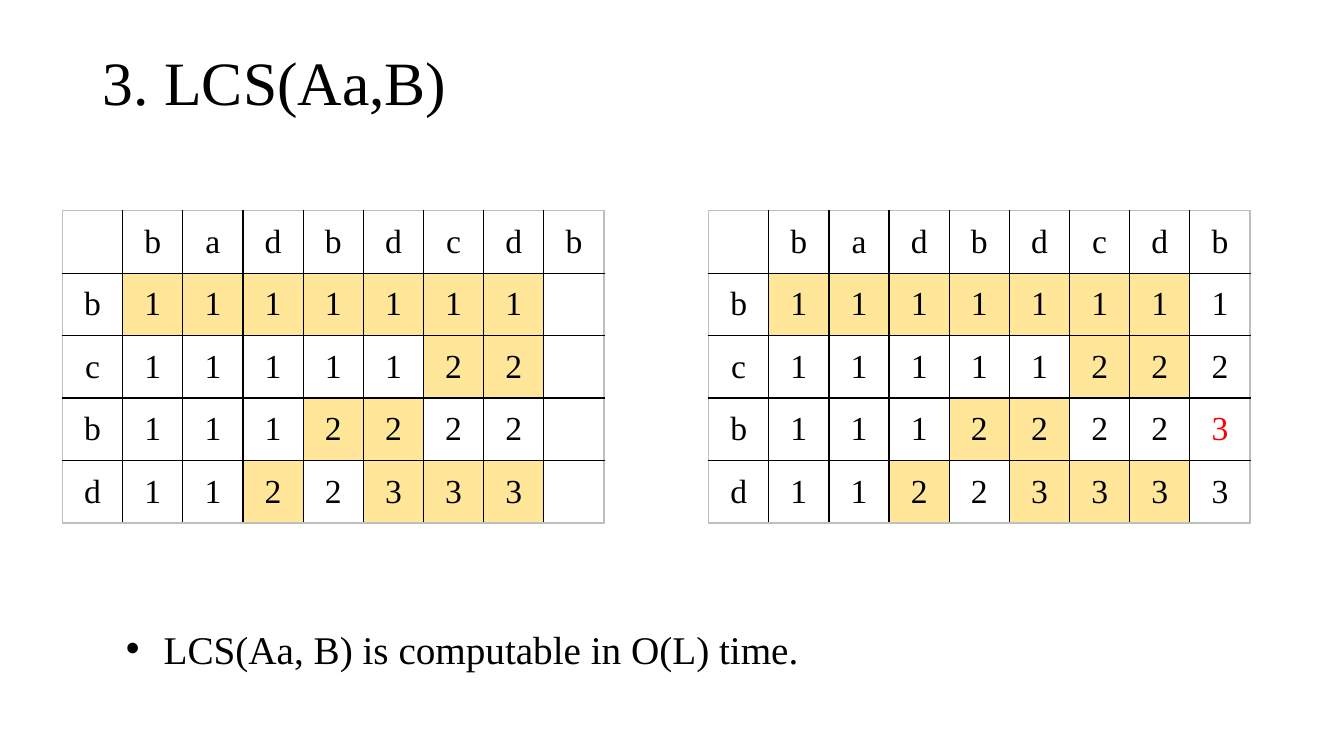
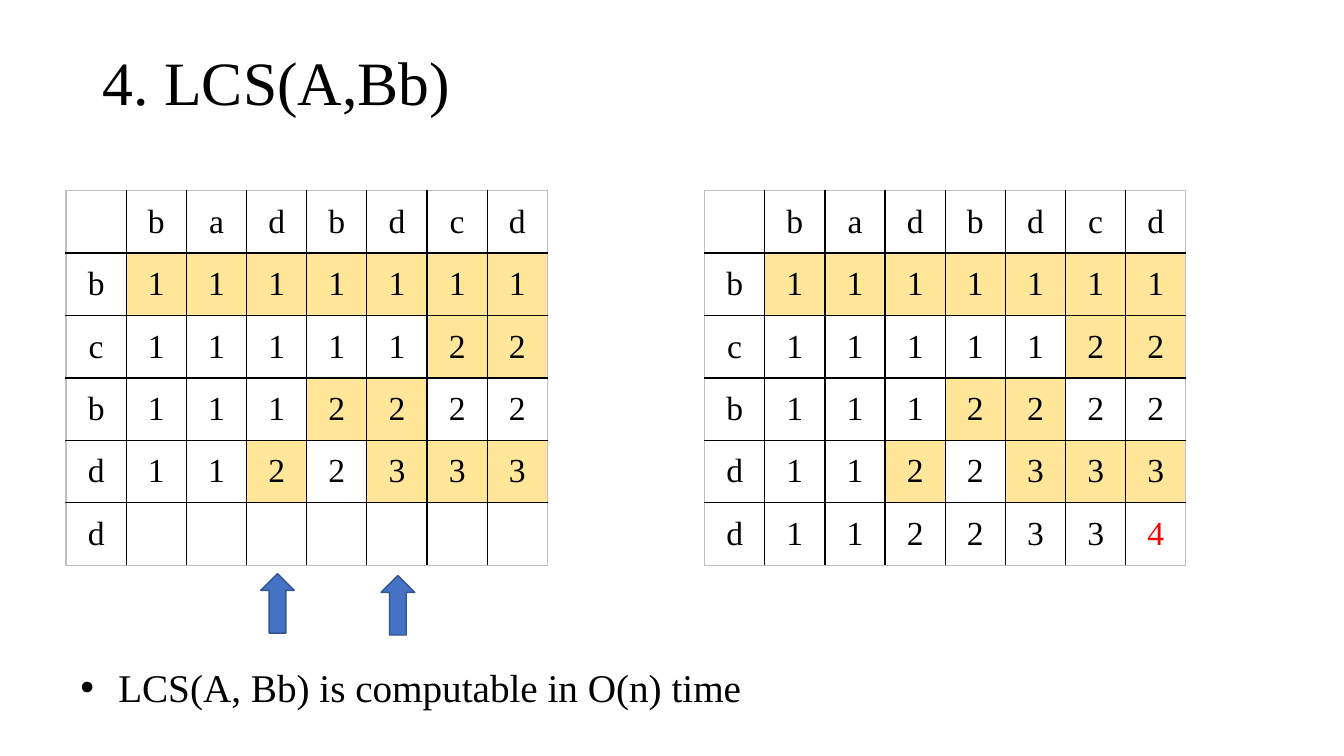
from dataclasses import dataclass

from lxml import etree
from pptx import Presentation
from pptx.dml.color import RGBColor
from pptx.enum import shapes, text
from pptx.oxml import ns
from pptx.util import Pt


@dataclass(frozen=True)
class Theme:
    font: str = "Times New Roman"
    ink: str = "000000"
    accent: str = "FF0000"
    step: str = "FFE699"
    outer: str = "BFBFBF"
    arrow: str = "4472C4"
    arrow_line: str = "325491"
    title: int = 44
    body: int = 28
    cell: int = 24
    col: float = 43
    row: float = 44.64


BASE = [" badbdcd", "b1111111", "c1111122", "b1112222", "d1122333"]


class Deck:
    def __init__(self, theme):
        self.theme = theme
        self.prs = Presentation()
        self.prs.slide_width, self.prs.slide_height = Pt(960), Pt(540)

    def add_run(self, p, content, size, color=None):
        r = p.add_run()
        r.text = content
        r.font.name, r.font.size = self.theme.font, Pt(size)
        r.font.color.rgb = RGBColor.from_string(color or self.theme.ink)

    def slide(self, title):
        self.s = self.prs.slides.add_slide(self.prs.slide_layouts[5])
        sp = self.s.shapes.title
        sp.left, sp.top, sp.width, sp.height = Pt(66.24), Pt(28.8), Pt(817.92), Pt(64.8)
        tf = sp.text_frame
        tf.vertical_anchor = text.MSO_ANCHOR.MIDDLE
        tf.auto_size = text.MSO_AUTO_SIZE.NONE
        p = tf.paragraphs[0]
        p.alignment, p.line_spacing = text.PP_ALIGN.LEFT, 0.9
        self.add_run(p, title, self.theme.title)

    def border(self, cell, side, color):
        tc_pr = cell._tc.get_or_add_tcPr()
        ln = etree.SubElement(tc_pr, ns.qn(f"a:{side}"), w=str(Pt(1)))
        fill = etree.SubElement(ln, ns.qn("a:solidFill"))
        etree.SubElement(fill, ns.qn("a:srgbClr"), val=color)

    def grid(self, left, top, lines, accent=None):
        t = self.theme
        rows, cols = len(lines), len(lines[0])
        table = self.s.shapes.add_table(
            rows, cols, Pt(left), Pt(top), Pt(cols * t.col), Pt(rows * t.row)
        ).table
        table.first_row = table.horz_banding = False
        for column in table.columns:
            column.width = Pt(t.col)
        for i, line in enumerate(lines):
            table.rows[i].height = Pt(t.row)
            for j, value in enumerate(line):
                cell = table.cell(i, j)
                cell.vertical_anchor = text.MSO_ANCHOR.MIDDLE
                edges = {"lnL": j == 0, "lnR": j == cols - 1,
                         "lnT": i == 0, "lnB": i == rows - 1}
                for side, is_outer in edges.items():
                    self.border(cell, side, t.outer if is_outer else t.ink)
                if self.is_step(i, j):
                    cell.fill.solid()
                    cell.fill.fore_color.rgb = RGBColor.from_string(t.step)
                else:
                    cell.fill.background()
                if value != " ":
                    p = cell.text_frame.paragraphs[0]
                    p.alignment = text.PP_ALIGN.CENTER
                    color = t.accent if (i, j) == accent else t.ink
                    self.add_run(p, value, t.cell, color)

    @staticmethod
    def is_step(i, j):
        if not (0 < i < len(BASE) and 0 < j < len(BASE[0])):
            return False
        return i == 1 or BASE[i][j] > BASE[i - 1][j]

    def bullet(self, left, top, width, content):
        sp = self.s.shapes.add_textbox(Pt(left), Pt(top), Pt(width), Pt(41))
        tf = sp.text_frame
        tf.word_wrap = False
        tf.auto_size = text.MSO_AUTO_SIZE.SHAPE_TO_FIT_TEXT
        p = tf.paragraphs[0]
        p_pr = p._p.get_or_add_pPr()
        p_pr.set("marL", str(Pt(27)))
        p_pr.set("indent", str(Pt(-27)))
        etree.SubElement(p_pr, ns.qn("a:buFont"), typeface="Arial")
        etree.SubElement(p_pr, ns.qn("a:buChar"), char="•")
        self.add_run(p, content, self.theme.body)

    def up_arrow(self, center, top):
        width = 24
        sp = self.s.shapes.add_shape(
            shapes.MSO_SHAPE.UP_ARROW, Pt(center - width / 2), Pt(top), Pt(width), Pt(42.5)
        )
        sp.shadow.inherit = False
        sp.fill.solid()
        sp.fill.fore_color.rgb = RGBColor.from_string(self.theme.arrow)
        sp.line.color.rgb = RGBColor.from_string(self.theme.arrow_line)
        sp.line.width = Pt(1)


def with_column(column):
    return [line + value for line, value in zip(BASE, column)]


def main():
    deck = Deck(Theme())

    deck.slide("3. LCS(Aa,B)")
    deck.grid(44.64, 150.48, with_column("b    "))
    deck.grid(506.16, 150.48, with_column("b1233"), accent=(3, 8))
    deck.bullet(82.8, 442.8, 500.4, "LCS(Aa, B) is computable in O(L) time.")

    left, top = 47.2, 136.08
    deck.slide("4. LCS(A,Bb)")
    deck.grid(left, top, BASE + ["d       "])
    deck.grid(503.28, top, BASE + ["d1122334"], accent=(5, 7))
    for column, arrow_top in ((3, 409.7), (5, 411.1)):
        deck.up_arrow(left + (column + 0.5) * deck.theme.col + 0.5, arrow_top)
    deck.bullet(50.4, 470.16, 491.76, "LCS(A, Bb) is computable in O(n) time")

    deck.prs.save("out.pptx")


if __name__ == "__main__":
    main()
